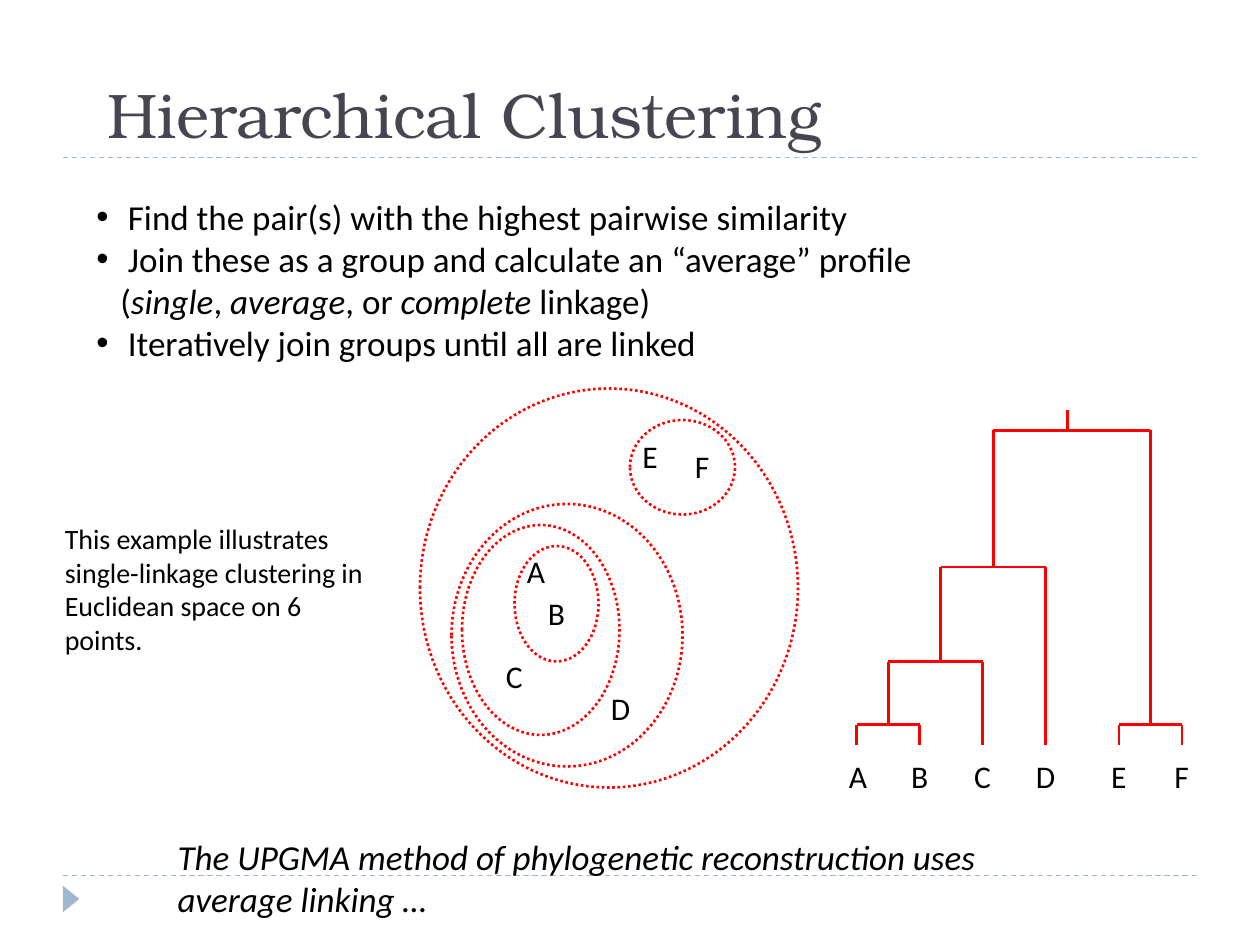
from dataclasses import dataclass

from lxml.etree import SubElement
from pptx import Presentation
from pptx.dml.color import RGBColor
from pptx.enum.dml import MSO_LINE
from pptx.enum.shapes import MSO_CONNECTOR, MSO_SHAPE
from pptx.enum.text import MSO_ANCHOR, MSO_AUTO_SIZE, PP_ALIGN
from pptx.oxml.ns import qn
from pptx.util import Pt


@dataclass(frozen=True)
class Theme:
    title_font: str = "TeX Gyre Bonum"
    body_font: str = "Calibri"
    title_color: RGBColor = RGBColor(0x46, 0x46, 0x53)
    text_color: RGBColor = RGBColor(0, 0, 0)
    rule_color: RGBColor = RGBColor(0x9F, 0xB8, 0xCD)
    cluster_color: RGBColor = RGBColor(0xFF, 0, 0)
    title_size: int = 36
    body_size: int = 20
    label_size: int = 18
    caption_size: int = 16
    rule_width: float = 0.75
    cluster_width: float = 1.5


THEME = Theme()
SLIDE_SIZE = (720, 540)
INSET = 7.2
BULLET_INDENT = 18
CONTINUATION_INDENT = 13.7

TITLE = "Hierarchical Clustering"
TITLE_BOX = (54, 0, 612, 90)
RULE_HEIGHTS = (500.4, 90)
RULE_ENDS = (36, 684)
MARKER_BOX = (33.1, 509, 15.1, 9.4)

# Each line: (has bullet, [(text, italic), ...])
STEPS = [
    (True, [("Find the pair(s) with the highest pairwise similarity", False)]),
    (True, [("Join these as a group and calculate an “average” profile", False)]),
    (False, [("(", False), ("single", True), (", ", False), ("average", True),
             (", or ", False), ("complete ", True), ("linkage)", False)]),
    (True, [("Iteratively join groups until all are linked", False)]),
]
STEPS_BOX = (48, 108, 630, 104.4)

CAPTION = ("This example illustrates single-linkage clustering in "
           "Euclidean space on 6 points.")
CAPTION_BOX = (30, 294, 186, 85)
CLOSING = "The UPGMA method of phylogenetic reconstruction uses\naverage linking …"
CLOSING_BOX = (94.4, 474, 530, 55.4)

CLUSTERS = [
    (294, 312, 48, 66),
    (360, 240, 60, 54),
    (264, 300, 90, 120),
    (258, 288, 132, 150),
    (240, 222, 216, 228),
]
POINTS = {"A": (294, 312), "B": (306, 335.8), "C": (282, 372),
          "D": (342, 390), "E": (360, 246), "F": (390, 252)}
POINT_SIZE = (30, 36)

LEAF_X = {"A": 489.6, "B": 525.6, "C": 561.6, "D": 597.6, "E": 639.4, "F": 675.4}
LEAF_Y = 426
# Each merge: (left node, right node, height of the bar, x of the stem above it)
MERGES = [
    ("A", "B", 414, 507.6),
    ("E", "F", 414, 657.4),
    ("AB", "C", 378, 537.6),
    ("ABC", "D", 324, 567.6),
    ("ABCD", "EF", 246, 610),
]
ROOT_Y = 234
LEAF_LABEL_BOX = (478, 429.1, 224, 29)


def points(values):
    return [Pt(value) for value in values]


def format_text(text_frame, size, italic=None):
    for paragraph in text_frame.paragraphs:
        for run in paragraph.runs:
            run.font.name = THEME.body_font
            run.font.size = Pt(size)
            run.font.color.rgb = THEME.text_color
            if italic is not None:
                run.font.italic = italic


def add_text(shapes, box, text, size, italic=None, anchor=MSO_ANCHOR.TOP):
    text_frame = shapes.add_textbox(*points(box)).text_frame
    text_frame.word_wrap = True
    text_frame.vertical_anchor = anchor
    text_frame.text = text
    format_text(text_frame, size, italic)
    return text_frame


def add_line(shapes, start, end, color, width, dash=None):
    connector = shapes.add_connector(MSO_CONNECTOR.STRAIGHT, *points(start + end))
    connector.line.color.rgb = color
    connector.line.width = Pt(width)
    if dash:
        connector.line.dash_style = dash
    SubElement(connector._element.spPr, qn("a:effectLst"))


def add_title(slide):
    title = slide.shapes.title
    title.left, title.top, title.width, title.height = points(TITLE_BOX)
    text_frame = title.text_frame
    text_frame.text = TITLE
    text_frame.auto_size = MSO_AUTO_SIZE.NONE
    text_frame.vertical_anchor = MSO_ANCHOR.BOTTOM
    paragraph = text_frame.paragraphs[0]
    paragraph.alignment = PP_ALIGN.LEFT
    font = paragraph.runs[0].font
    font.name, font.size = THEME.title_font, Pt(THEME.title_size)
    font.color.rgb = THEME.title_color


def add_decoration(shapes):
    for y in RULE_HEIGHTS:
        add_line(shapes, (RULE_ENDS[0], y), (RULE_ENDS[1], y),
                 THEME.rule_color, THEME.rule_width, MSO_LINE.DASH)
    marker = shapes.add_shape(MSO_SHAPE.ISOSCELES_TRIANGLE, *points(MARKER_BOX))
    marker.rotation = 90
    marker.shadow.inherit = False
    marker.fill.solid()
    marker.fill.fore_color.rgb = THEME.rule_color
    marker.line.fill.background()


def add_steps(shapes):
    text_frame = shapes.add_textbox(*points(STEPS_BOX)).text_frame
    text_frame.word_wrap = True
    for index, (has_bullet, pieces) in enumerate(STEPS):
        paragraph = text_frame.add_paragraph() if index else text_frame.paragraphs[0]
        properties = paragraph._p.get_or_add_pPr()
        indent = BULLET_INDENT if has_bullet else CONTINUATION_INDENT
        properties.set("marL", str(Pt(indent)))
        properties.set("indent", str(-Pt(indent) if has_bullet else 0))
        if has_bullet:
            SubElement(properties, qn("a:buFont"), typeface="Arial")
            SubElement(properties, qn("a:buChar"), char="•")
        for text, italic in pieces:
            run = paragraph.add_run()
            run.text = text
            run.font.italic = italic
    format_text(text_frame, THEME.body_size)


def add_cluster_map(shapes):
    for box in CLUSTERS:
        ellipse = shapes.add_shape(MSO_SHAPE.OVAL, *points(box))
        ellipse.shadow.inherit = False
        ellipse.fill.background()
        ellipse.line.color.rgb = THEME.cluster_color
        ellipse.line.width = Pt(THEME.cluster_width)
        ellipse.line.dash_style = MSO_LINE.ROUND_DOT
    for name, corner in POINTS.items():
        add_text(shapes, corner + POINT_SIZE, name, THEME.label_size)


def add_dendrogram(shapes):
    def add_branch(start, end):
        add_line(shapes, start, end, THEME.cluster_color, THEME.cluster_width)

    nodes = {name: (x, LEAF_Y) for name, x in LEAF_X.items()}
    for left, right, height, stem_x in MERGES:
        corners = [(nodes[name][0], height) for name in (left, right)]
        for name, corner in zip((left, right), corners):
            add_branch(nodes[name], corner)
        add_branch(*corners)
        nodes[left + right] = (stem_x, height)
    root = nodes["ABCDEF"]
    add_branch(root, (root[0], ROOT_Y))

    labels = add_text(shapes, LEAF_LABEL_BOX, "\t".join(LEAF_X), THEME.label_size)
    tab_list = SubElement(labels.paragraphs[0]._p.get_or_add_pPr(), qn("a:tabLst"))
    for x in list(LEAF_X.values())[1:]:
        position = Pt(x - LEAF_LABEL_BOX[0] - INSET)
        SubElement(tab_list, qn("a:tab"), pos=str(position), algn="ctr")


def main():
    presentation = Presentation()
    presentation.slide_width, presentation.slide_height = points(SLIDE_SIZE)
    slide = presentation.slides.add_slide(presentation.slide_layouts[5])
    shapes = slide.shapes
    add_decoration(shapes)
    add_title(slide)
    add_text(shapes, CAPTION_BOX, CAPTION, THEME.caption_size, anchor=MSO_ANCHOR.MIDDLE)
    add_steps(shapes)
    add_text(shapes, CLOSING_BOX, CLOSING, THEME.body_size, italic=True)
    add_cluster_map(shapes.add_group_shape().shapes)
    add_dendrogram(shapes.add_group_shape().shapes)
    presentation.save("out.pptx")


if __name__ == "__main__":
    main()
